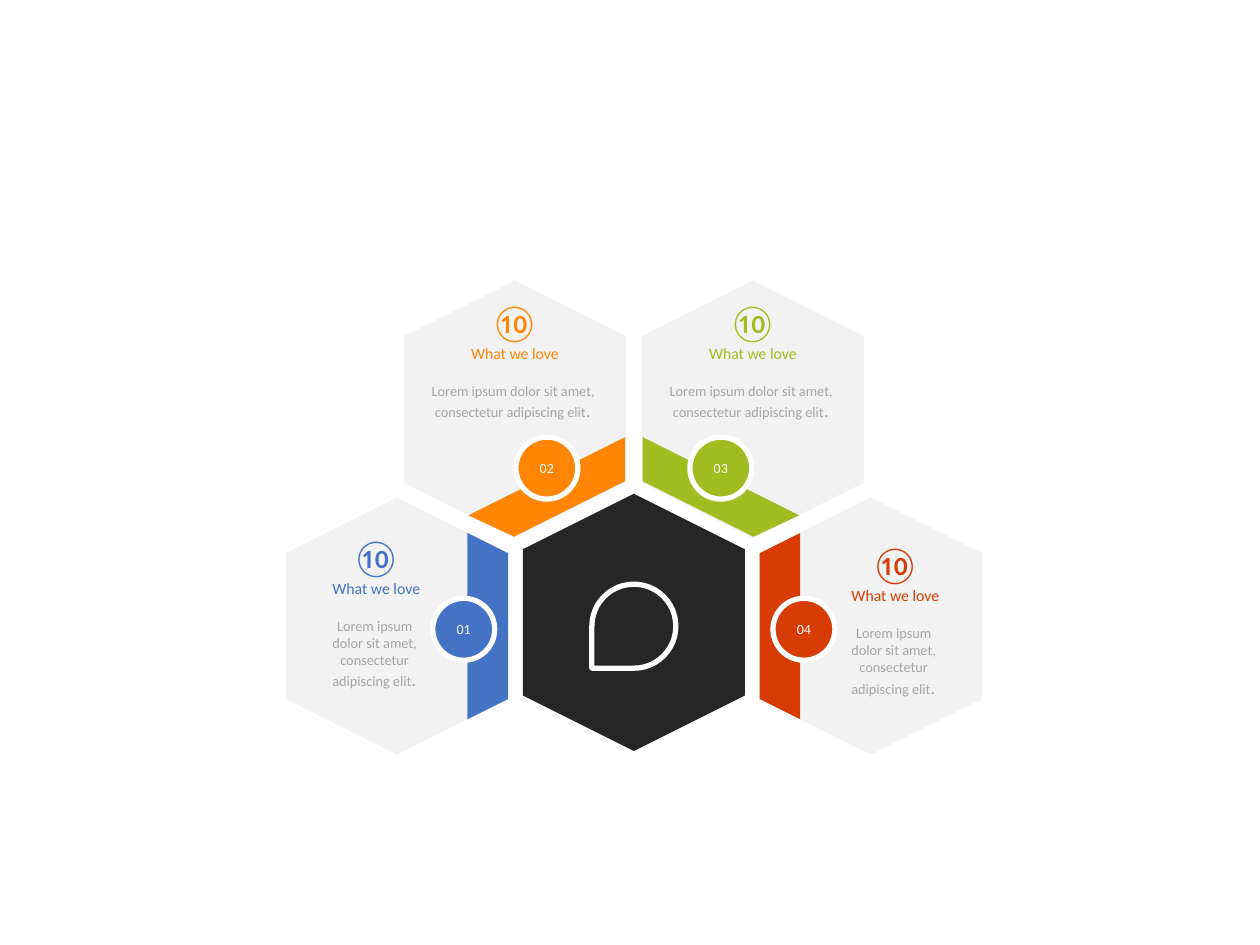
"""Build a slide with four numbered hexagon cards around a dark central hexagon."""
import pptx
import pptx.dml.color
import pptx.enum.shapes
import pptx.enum.text
import pptx.util

Pt = pptx.util.Pt
SHAPE = pptx.enum.shapes.MSO_SHAPE

THEME = {
    "font": "Calibri", "white": "FFFFFF", "dark": "262626", "card": "F2F2F2", "grey": "A6A6A6",
    "icon": 21, "heading": 9, "body": 8.2, "stop": 10.5, "badge": 8, "outline": 3, "gap": 11,
}
AXIS = 362.2
HEXAGON = (147, 126.8)
BAND = (106.5, 23.2)
BADGE = (35.4, 35.4)
TEXT = (104.4, 110.9)
DIAGONAL = [(5, 249.8), (5, 275), (68.4, 306.7), (94.5, 294.5)]
ICON, HEADING = "⑩", "What we love"
NARROW = ["Lorem ipsum ", "dolor sit amet, ", "consectetur ", "adipiscing elit"]
WIDE = ["Lorem ipsum dolor sit amet, ", "consectetur adipiscing elit"]
LOWER = {"hexagon": (135.4, 357.8), "band": (83.5, 357.8), "badge": (97.2, 359.6), "body": NARROW}
UPPER = {"hexagon": (68, 234), "band": None, "badge": (49.7, 267.5), "body": WIDE}
CARDS = [
    {"number": "01", "color": "4472C4", "side": -1, "text": (147.2, 350), **LOWER},
    {"number": "04", "color": "D73C05", "side": 1, "text": (149.4, 354.2), **LOWER},
    {"number": "03", "color": "A1BC1F", "side": 1, "text": (68, 205.9), **UPPER},
    {"number": "02", "color": "FF8504", "side": -1, "text": (68, 205.9), **UPPER},
]


def rgb(color):
    return pptx.dml.color.RGBColor.from_string(color)


def box(center, size, side=1):
    (dx, y), (w, h) = center, size
    return Pt(AXIS + side * dx - w / 2), Pt(y - h / 2), Pt(w), Pt(h)


def paint(sp, fill=None, line=None):
    sp.shadow.inherit = False
    if fill:
        sp.fill.solid()
        sp.fill.fore_color.rgb = rgb(fill)
    else:
        sp.fill.background()
    if line:
        sp.line.color.rgb = rgb(line)
        sp.line.width = Pt(THEME["outline"])
    else:
        sp.line.fill.background()
    return sp


def add_shape(shapes, kind, bounds, fill=None, line=None, rotation=0):
    sp = paint(shapes.add_shape(kind, *bounds), fill, line)
    sp.rotation = rotation
    return sp


def write(tf, paragraphs, **frame):
    frame = {"vertical_anchor": pptx.enum.text.MSO_ANCHOR.MIDDLE, **frame}
    for name, value in frame.items():
        setattr(tf, name, value)
    for i, (before, runs) in enumerate(paragraphs):
        p = tf.add_paragraph() if i else tf.paragraphs[0]
        p.alignment = pptx.enum.text.PP_ALIGN.CENTER
        p.space_before = Pt(before)
        for text, size, color in runs:
            r = p.add_run()
            r.text = text
            for name, value in {"name": THEME["font"], "size": Pt(size)}.items():
                setattr(r.font, name, value)
            r.font.color.rgb = rgb(color)


def add_band(shapes, card):
    side, color = card["side"], card["color"]
    if card["band"]:
        sp = add_shape(shapes, SHAPE.TRAPEZOID, box(card["band"], BAND, side), color, rotation=-90 * side % 360)
        sp.adjustments[0] = 0.5
        return
    points = [(Pt(AXIS + side * dx), Pt(y)) for dx, y in DIAGONAL]
    builder = shapes.build_freeform(*points[0])
    builder.add_line_segments(points[1:], close=True)
    paint(builder.convert_to_shape(), color)


def add_card(slide, card):
    shapes = slide.shapes.add_group_shape().shapes
    side, color = card["side"], card["color"]
    add_shape(shapes, SHAPE.HEXAGON, box(card["hexagon"], HEXAGON, side), THEME["card"], rotation=90)
    add_band(shapes, card)
    badge = add_shape(shapes, SHAPE.OVAL, box(card["badge"], BADGE, side), color, THEME["white"])
    write(badge.text_frame, [(0, [(card["number"], THEME["badge"], THEME["white"])])])

    lines = [[(text, THEME["body"], THEME["grey"])] for text in card["body"]]
    lines[-1].append((". ", THEME["stop"], THEME["grey"]))
    paragraphs = [(0, [(ICON, THEME["icon"], color)]), (0, [(HEADING, THEME["heading"], color)])]
    paragraphs += [(0 if i else THEME["gap"], runs) for i, runs in enumerate(lines)]
    tf = shapes.add_textbox(*box(card["text"], TEXT, side)).text_frame
    write(tf, paragraphs, word_wrap=False, margin_left=0, margin_right=0, margin_top=0, margin_bottom=0)


def main():
    prs = pptx.Presentation()
    prs.slide_width, prs.slide_height = Pt(720), Pt(540)
    slide = prs.slides.add_slide(prs.slide_layouts.get_by_name("Blank"))
    add_shape(slide.shapes, SHAPE.HEXAGON, box((0, 355.7), HEXAGON), THEME["dark"], rotation=90)
    add_shape(slide.shapes, SHAPE.TEAR, box((0, 357.8), (48, 48)), line=THEME["white"], rotation=180)
    for card in CARDS:
        add_card(slide, card)
    prs.save("out.pptx")


if __name__ == "__main__":
    main()
